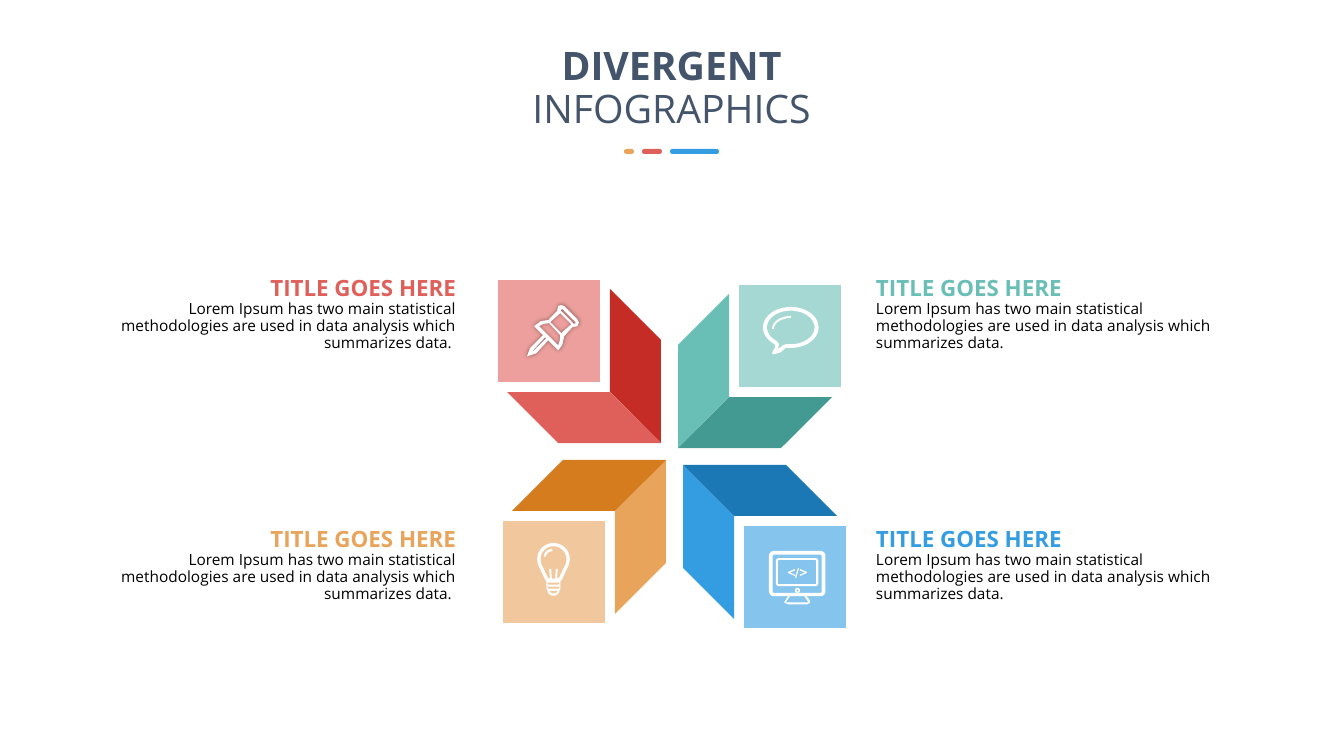
import math
from dataclasses import dataclass

from lxml import etree
from pptx import Presentation
from pptx import util as u
from pptx.dml.color import RGBColor
from pptx.enum import shapes, text
from pptx.oxml import ns

PX = 914400 / 100.8  # EMU in one px


@dataclass(frozen=True)
class Theme:
    font: str = "Open Sans"
    heading: str = "44546A"
    body: str = "000000"
    white: str = "FFFFFF"
    red: tuple = ("DF5F5A", "C52C26", "EC9F9C")  # main, dark, pale
    teal: tuple = ("69BEB6", "439A92", "A5D8D3")
    orange: tuple = ("E8A45B", "D47C1E", "F1C89D")
    blue: tuple = ("349DE1", "1B78B5", "85C4ED")
    heading_size: int = 28
    title_size: int = 16
    body_size: int = 11
    line_spacing: float = 0.9


def px(length):
    return u.Emu(round(length * PX))


# Outline helpers: each returns a list of points
def arc(cx, cy, rx, ry, start, end):
    steps = max(6, abs(end - start) // 6)
    angles = [math.radians(start + (end - start) * i / steps) for i in range(steps + 1)]
    return [(cx + rx * math.cos(a), cy + ry * math.sin(a)) for a in angles]


def rounded(left, top, right, bottom, radius):
    corners = [(right - radius, bottom - radius, 0), (left + radius, bottom - radius, 90),
               (left + radius, top + radius, 180), (right - radius, top + radius, 270)]
    return [p for x, y, a in corners for p in arc(x, y, radius, radius, a, a + 90)]


def glint(width, height, thickness):
    return (arc(width, height, width, height, 180, 270)
            + arc(width, height, width - thickness, height - thickness, 270, 180))


class Deck:
    def __init__(self, theme, width, height):
        self.theme = theme
        self.prs = Presentation()
        self.prs.slide_width, self.prs.slide_height = px(width), px(height)
        self.slide = self.prs.slides.add_slide(self.prs.slide_layouts[6])

    def paint(self, shape, color):
        shape.shadow.inherit = False
        shape.fill.solid()
        shape.fill.fore_color.rgb = RGBColor.from_string(color)
        shape.line.fill.background()
        return shape

    def preset(self, kind, x, y, w, h, color):
        shape = self.slide.shapes.add_shape(kind, px(x), px(y), px(w), px(h))
        return self.paint(shape, color)

    def outline(self, contours, color, origin=(0, 0), units=1):
        """Filled outline; units is how many contour units make one px."""
        start = contours[0][0]
        builder = self.slide.shapes.build_freeform(*start, scale=PX / units)
        for contour in contours:
            if contour is not contours[0]:
                builder.move_to(*contour[0])
            builder.add_line_segments(contour[1:], close=True)
        return self.paint(builder.convert_to_shape(px(origin[0]), px(origin[1])), color)

    def icon(self, x, y, *contours):
        return self.outline(contours, self.theme.white, (x, y), units=10)

    def soft_shadow(self, shape):
        effects = shape._element.spPr.find(ns.qn("a:effectLst"))
        shadow = etree.SubElement(effects, ns.qn("a:outerShdw"), blurRad=str(u.Pt(3)),
                                  algn="ctr", rotWithShape="0")
        black = etree.SubElement(shadow, ns.qn("a:srgbClr"), val="000000")
        etree.SubElement(black, ns.qn("a:alpha"), val="40000")

    def frame(self, x, y, w, h):
        return self.slide.shapes.add_textbox(px(x), px(y), px(w), px(h)).text_frame

    def run(self, paragraph, words, size, color, bold=False):
        run = paragraph.add_run()
        run.text = words
        run.font.name, run.font.size, run.font.bold = self.theme.font, u.Pt(size), bold
        run.font.color.rgb = RGBColor.from_string(color)

    def heading(self, x, y, w, h, lines):
        frame = self.frame(x, y, w, h)
        frame.word_wrap = False
        for i, words in enumerate(lines):
            line = frame.add_paragraph() if i else frame.paragraphs[0]
            line.alignment = text.PP_ALIGN.CENTER
            line.line_spacing = self.theme.line_spacing
            self.run(line, words, self.theme.heading_size, self.theme.heading, bold=i == 0)

    def caption(self, x, y, w, h, title, body, color, align):
        frame = self.frame(x, y, w, h)
        frame.word_wrap = True
        frame.vertical_anchor = text.MSO_ANCHOR.MIDDLE
        frame.margin_left = frame.margin_right = frame.margin_top = frame.margin_bottom = 0
        paragraph = frame.paragraphs[0]
        paragraph.alignment = align
        paragraph.line_spacing = self.theme.line_spacing
        paragraph.space_after = u.Pt(12)
        self.run(paragraph, title, self.theme.title_size, color, bold=True)
        paragraph.add_line_break()
        self.run(paragraph, body, self.theme.body_size, self.theme.body)

    def cube(self, tip, sx, sy, upright, flat, pale):
        """Two slanted faces meeting at the tip, and a square beyond them."""
        tx, ty = tip
        face = [(0, 0), (51, 51), (51, 154), (0, 103)]
        self.outline([[(tx + sx * a, ty + sy * b) for a, b in face]], upright)
        self.outline([[(tx + sx * b, ty + sy * a) for a, b in face]], flat)
        size, reach = 144, 112
        square = self.preset(shapes.MSO_SHAPE.DIAMOND, tx + sx * reach - size // 2,
                             ty + sy * reach - size // 2, size, size, pale)
        square.rotation = 45


def main():
    theme = Theme()
    deck = Deck(theme, 1344, 756)

    # Heading and its three dashes
    deck.heading(521, 42, 301, 105, ["DIVERGENT", "INFOGRAPHICS"])
    for x, width, color in [(670, 49, theme.blue), (642, 20, theme.red), (624, 10, theme.orange)]:
        dash = deck.preset(shapes.MSO_SHAPE.ROUNDED_RECTANGLE, x, 149, width, 5, color[0])
        dash.adjustments[0] = 0.5

    # Four cubes with their captions
    body = "Lorem Ipsum has two main statistical methodologies are used in data analysis which summarizes data."
    cubes = [((678, 448), 1, -1, theme.teal), ((666, 460), -1, 1, theme.orange),
             ((683, 465), 1, 1, theme.blue), ((661, 443), -1, -1, theme.red)]
    for tip, sx, sy, (main_color, dark, pale) in cubes:
        upright, flat = (dark, main_color) if sx == sy == -1 else (main_color, dark)
        deck.cube(tip, sx, sy, upright, flat, pale)
        on_right = sx > 0
        deck.caption(876 if on_right else 93, 273 if sy < 0 else 524, 361 if on_right else 363, 83,
                     "TITLE GOES HERE", body if on_right else body + " ", main_color,
                     text.PP_ALIGN.LEFT if on_right else text.PP_ALIGN.RIGHT)

    # Light bulb
    bulb = (arc(165, 163, 163, 163, 150, 390) + [(250, 365), (235, 385), (235, 455)]
            + arc(165, 475, 60, 52, 0, 180) + [(95, 455), (95, 385), (80, 365)])
    glass = arc(165, 163, 130, 130, 150, 390) + [
        (222, 345), (200, 357), (208, 260), (188, 260), (182, 357),
        (148, 357), (142, 260), (122, 260), (130, 357), (108, 345)]
    slots = [rounded(105, top, 225, top + 20, 10) for top in (396, 436)]
    deck.icon(537, 543, bulb, glass, *slots, arc(165, 478, 40, 26, 0, 180))
    deck.icon(544, 549, glint(85, 75, 22))

    # Speech bubble
    deck.icon(772, 316, glint(190, 130, 20))
    bubble = arc(278, 205, 278, 205, 125, 460) + [(175, 455), (105, 474), (90, 460), (118, 410)]
    hollow = arc(278, 205, 238, 168, 125, 460) + [(200, 383), (150, 423), (161, 373)]
    deck.icon(763, 307, bubble, hollow)

    # Monitor with a code tag
    stand = [(191, 453), (171, 484), (151, 514), (191, 534),
             (383, 534), (413, 514), (403, 484), (373, 453)]
    stand_gap = [(211, 453), (181, 494), (171, 514), (393, 514), (383, 494), (353, 453)]
    deck.icon(769, 551, rounded(0, 0, 565, 453, 50), rounded(37, 37, 528, 420, 15), stand, stand_gap)
    deck.icon(776, 558, rounded(0, 0, 423, 282, 30), rounded(20, 20, 403, 262, 12))
    deck.icon(795, 588, arc(25, 25, 25, 25, 0, 360), arc(25, 25, 10, 10, 0, 360))
    bracket = [(0, 40), (70, 70), (70, 58), (20, 35), (70, 15), (70, 0), (0, 30)]
    deck.icon(788, 569, bracket)
    deck.icon(795, 568, [(30, 0), (40, 5), (12, 100), (0, 95)])
    deck.icon(800, 569, [(70 - x, y) for x, y in bracket])

    # Push pin
    pin = [(373, 312), (454, 222), (504, 212), (520, 176), (504, 141), (373, 10), (343, 0),
           (312, 10), (302, 60), (212, 151), (140, 160), (71, 212), (161, 302), (30, 433),
           (0, 514), (91, 484), (212, 353), (312, 454), (353, 400)]
    cap = [(353, 40), (484, 171), (484, 185), (466, 186), (343, 60), (337, 50)]
    neck = [(343, 282), (232, 171), (333, 81), (444, 192)]
    needle = [(71, 454), (60, 464), (60, 454), (181, 323), (192, 333)]
    collar = [(242, 333), (121, 212), (160, 190), (222, 181), (333, 302), (330, 350), (312, 403)]
    deck.soft_shadow(deck.icon(527, 305, pin, cap, neck, needle, collar))

    deck.prs.save("out.pptx")


if __name__ == "__main__":
    main()
